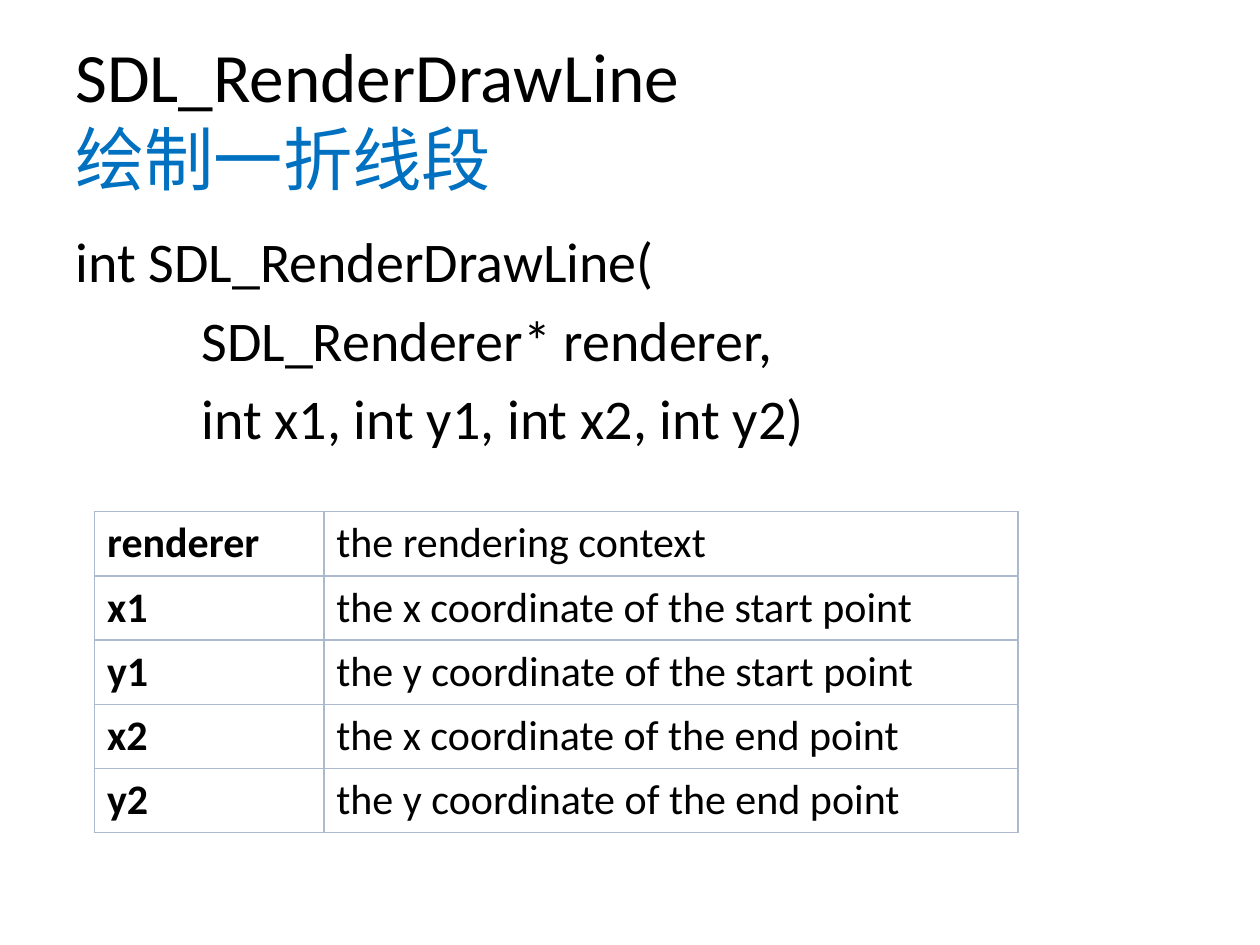
from dataclasses import dataclass

from lxml.etree import SubElement
from pptx import Presentation
from pptx.dml.color import RGBColor
from pptx.enum.text import MSO_ANCHOR
from pptx.oxml.ns import qn
from pptx.util import Inches, Pt


@dataclass(frozen=True)
class Theme:
    font: str = "Calibri"
    ink: str = "000000"
    accent: str = "0070C0"
    paper: str = "FFFFFF"
    border: str = "ADB9CC"
    title_size: float = 39.6
    body_size: float = 32
    table_size: float = 24
    border_width: float = 1


THEME = Theme()
COLUMNS, ROWS = 200, 150
SLIDE_WIDTH, SLIDE_HEIGHT = Inches(10), Inches(7.5)

SIGNATURE = [
    ("int SDL_RenderDrawLine(", 0),
    ("SDL_Renderer* renderer,", 20),
    ("int x1, int y1, int x2, int y2)", 20),
]
PARAMETERS = [("renderer", "the rendering context")] + [
    (f"{axis}{number}", f"the {axis} coordinate of the {end} point")
    for number, end in ((1, "start"), (2, "end"))
    for axis in "xy"
]


def across(columns):
    return round(SLIDE_WIDTH * columns / COLUMNS)


def down(rows):
    return round(SLIDE_HEIGHT * rows / ROWS)


def write(para, text, *, size, color=THEME.ink, bold=False):
    span = para.add_run()
    span.text = text
    span.font.name = THEME.font
    span.font.size = Pt(size)
    span.font.bold = bold
    span.font.color.rgb = RGBColor.from_string(color)


def add_text_frame(page, left, top, width, height, anchor):
    box = page.shapes.add_textbox(
        across(left), down(top), across(width), down(height)
    )
    frame = box.text_frame
    frame.word_wrap = True
    frame.vertical_anchor = anchor
    return frame


def add_title(page, name, meaning):
    frame = add_text_frame(page, 10, 6, 180, 25, MSO_ANCHOR.MIDDLE)
    para = frame.paragraphs[0]
    write(para, name, size=THEME.title_size)
    para.add_line_break()
    write(para, meaning, size=THEME.title_size, color=THEME.accent)


def add_signature(page, lines):
    frame = add_text_frame(page, 10, 35, 180, 99, MSO_ANCHOR.TOP)
    for index, (text, indent) in enumerate(lines):
        para = frame.add_paragraph() if index else frame.paragraphs[0]
        para.space_before = Pt(THEME.body_size * 0.2)
        para._p.get_or_add_pPr().set("marL", str(across(indent)))
        write(para, text, size=THEME.body_size)


def set_borders(cell):
    properties = cell._tc.get_or_add_tcPr()
    for position, side in enumerate(("lnL", "lnR", "lnT", "lnB")):
        line = SubElement(properties, qn(f"a:{side}"))
        line.set("w", str(Pt(THEME.border_width)))
        fill = SubElement(line, qn("a:solidFill"))
        SubElement(fill, qn("a:srgbClr")).set("val", THEME.border)
        properties.insert(position, line)


def add_parameter_table(page, parameters):
    widths, row_height = (36.4, 110.2), 10.2
    table = page.shapes.add_table(
        len(parameters), len(widths), across(15), down(81.2),
        across(sum(widths)), down(row_height * len(parameters)),
    ).table
    for column, width in zip(table.columns, widths):
        column.width = across(width)
    for row, texts in zip(table.rows, parameters):
        row.height = down(row_height)
        for index, (cell, text) in enumerate(zip(row.cells, texts)):
            cell.vertical_anchor = MSO_ANCHOR.MIDDLE
            cell.fill.solid()
            cell.fill.fore_color.rgb = RGBColor.from_string(THEME.paper)
            set_borders(cell)
            write(cell.text_frame.paragraphs[0], text,
                  size=THEME.table_size, bold=index == 0)


def main():
    deck = Presentation()
    deck.slide_width, deck.slide_height = SLIDE_WIDTH, SLIDE_HEIGHT
    page = deck.slides.add_slide(deck.slide_layouts[6])
    add_title(page, "SDL_RenderDrawLine", "绘制一折线段")
    add_signature(page, SIGNATURE)
    add_parameter_table(page, PARAMETERS)
    deck.save("out.pptx")


main()
